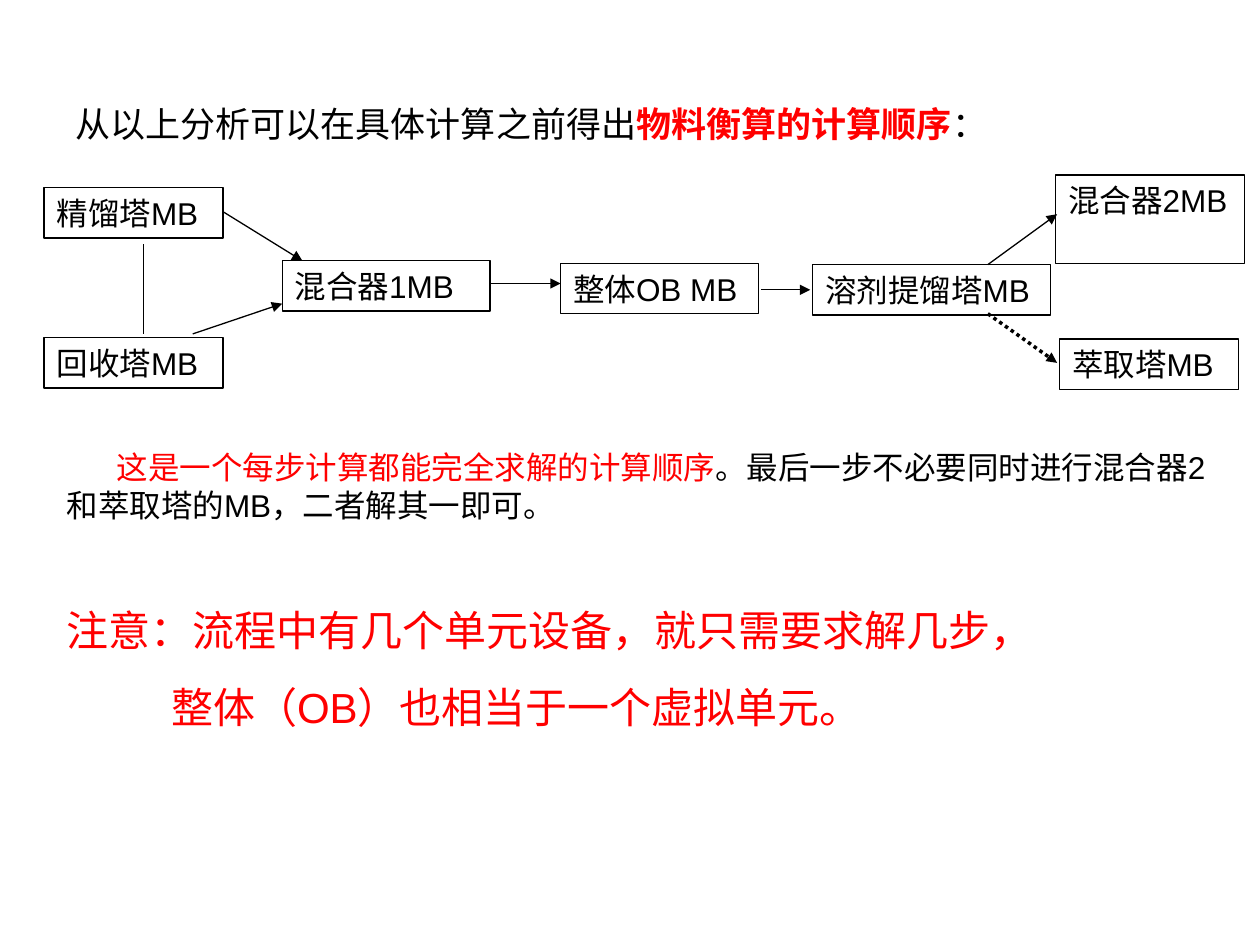
import pptx
import pptx.dml.color
import pptx.enum.dml
import pptx.enum.shapes
import pptx.enum.text
import pptx.oxml.ns
import pptx.util
from lxml import etree

Inches, Pt = pptx.util.Inches, pptx.util.Pt
COLORS = {"black": "000000", "red": "FF0000"}
FONT = "Arial"

# Each run: text, colour, bold
HEADING = [
    ("从以上分析可以在具体计算之前得出", "black", False),
    ("物料衡算的计算顺序", "red", True),
    ("：", "black", False),
]

# Each unit: label, left, top, width, height
UNITS = [
    ("精馏塔MB", 0.35, 1.49, 1.42, 0.4),
    ("回收塔MB", 0.35, 2.68, 1.42, 0.4),
    ("混合器1MB", 2.24, 2.07, 1.65, 0.4),
    ("整体OB MB", 4.45, 2.09, 1.57, 0.4),
    ("溶剂提馏塔MB", 6.45, 2.1, 1.89, 0.4),
    ("混合器2MB", 8.38, 1.39, 1.5, 0.7),
    ("萃取塔MB", 8.41, 2.69, 1.42, 0.4),
]

# Each link: start, end, has arrowhead, dotted
LINKS = [
    ((1.77, 1.68), (2.4, 2.07), True, False),
    ((3.9, 2.25), (4.45, 2.25), True, False),
    ((6.04, 2.3), (6.43, 2.3), True, False),
    ((7.84, 2.1), (8.39, 1.7), True, False),
    ((7.84, 2.49), (8.39, 2.88), True, True),
    ((1.14, 1.94), (1.14, 2.65), False, False),
    ((1.53, 2.65), (2.24, 2.41), True, False),
]

# Each paragraph: runs, size, space before, left margin, first-line indent
REMARKS = [
    ([("这是一个每步计算都能完全求解的计算顺序", "red", False),
      ("。最后一步不必要同时进行混合器2和萃取塔的MB，二者解其一即可。", "black", False)],
     18, 0, 0, 0.4),
    ([("注意：流程中有几个单元设备，就只需要求解几步，", "red", False)], 24, 46, 0, 0),
    ([("整体（OB）也相当于一个虚拟单元。", "red", False)], 24, 15, 0.83, 0),
]


def rgb(name):
    return pptx.dml.color.RGBColor.from_string(COLORS[name])


def write(paragraph, runs, size):
    paragraph.alignment = pptx.enum.text.PP_ALIGN.LEFT
    paragraph.font.size = Pt(size)
    paragraph.font.name = FONT
    for text, color, bold in runs:
        run = paragraph.add_run()
        run.text = text
        run.font.color.rgb = rgb(color)
        run.font.bold = bold


def add_text(slide, left, top, width, height):
    frame = slide.shapes.add_textbox(*map(Inches, (left, top, width, height))).text_frame
    frame.word_wrap = True
    return frame


def add_unit(slide, label, *place):
    unit = slide.shapes.add_shape(
        pptx.enum.shapes.MSO_SHAPE.RECTANGLE, *map(Inches, place))
    unit.shadow.inherit = False
    unit.fill.background()
    unit.line.color.rgb = rgb("black")
    unit.line.width = Pt(0.75)
    frame = unit.text_frame
    frame.word_wrap = True
    frame.auto_size = pptx.enum.text.MSO_AUTO_SIZE.SHAPE_TO_FIT_TEXT
    frame.vertical_anchor = pptx.enum.text.MSO_ANCHOR.TOP
    write(frame.paragraphs[0], [(label, "black", False)], 18)


def add_link(slide, start, end, arrow, dotted):
    link = slide.shapes.add_connector(
        pptx.enum.shapes.MSO_CONNECTOR.STRAIGHT, *map(Inches, start + end))
    link.line.color.rgb = rgb("black")
    link.line.width = Pt(2 if dotted else 0.75)
    if dotted:
        link.line.dash_style = pptx.enum.dml.MSO_LINE.ROUND_DOT
    qn = pptx.oxml.ns.qn
    properties = link.element.spPr
    if arrow:
        etree.SubElement(properties.find(qn("a:ln")), qn("a:tailEnd"), type="triangle")
    etree.SubElement(properties, qn("a:effectLst"))


def add_remarks(slide):
    frame = add_text(slide, 0.43, 3.51, 9.37, 2.38)
    for index, (runs, size, before, margin, indent) in enumerate(REMARKS):
        paragraph = frame.add_paragraph() if index else frame.paragraphs[0]
        properties = paragraph._p.get_or_add_pPr()
        properties.set("marL", str(Inches(margin)))
        properties.set("indent", str(Inches(indent)))
        paragraph.space_before = Pt(before)
        write(paragraph, runs, size)


def main():
    deck = pptx.Presentation()
    deck.slide_width, deck.slide_height = Inches(10), Inches(7.5)
    slide = deck.slides.add_slide(deck.slide_layouts[6])

    heading = add_text(slide, 0.5, 0.78, 9, 0.4)
    heading.vertical_anchor = pptx.enum.text.MSO_ANCHOR.MIDDLE
    write(heading.paragraphs[0], HEADING, 20)
    for unit in UNITS:
        add_unit(slide, *unit)
    for link in LINKS:
        add_link(slide, *link)
    add_remarks(slide)
    deck.save("out.pptx")


if __name__ == "__main__":
    main()
